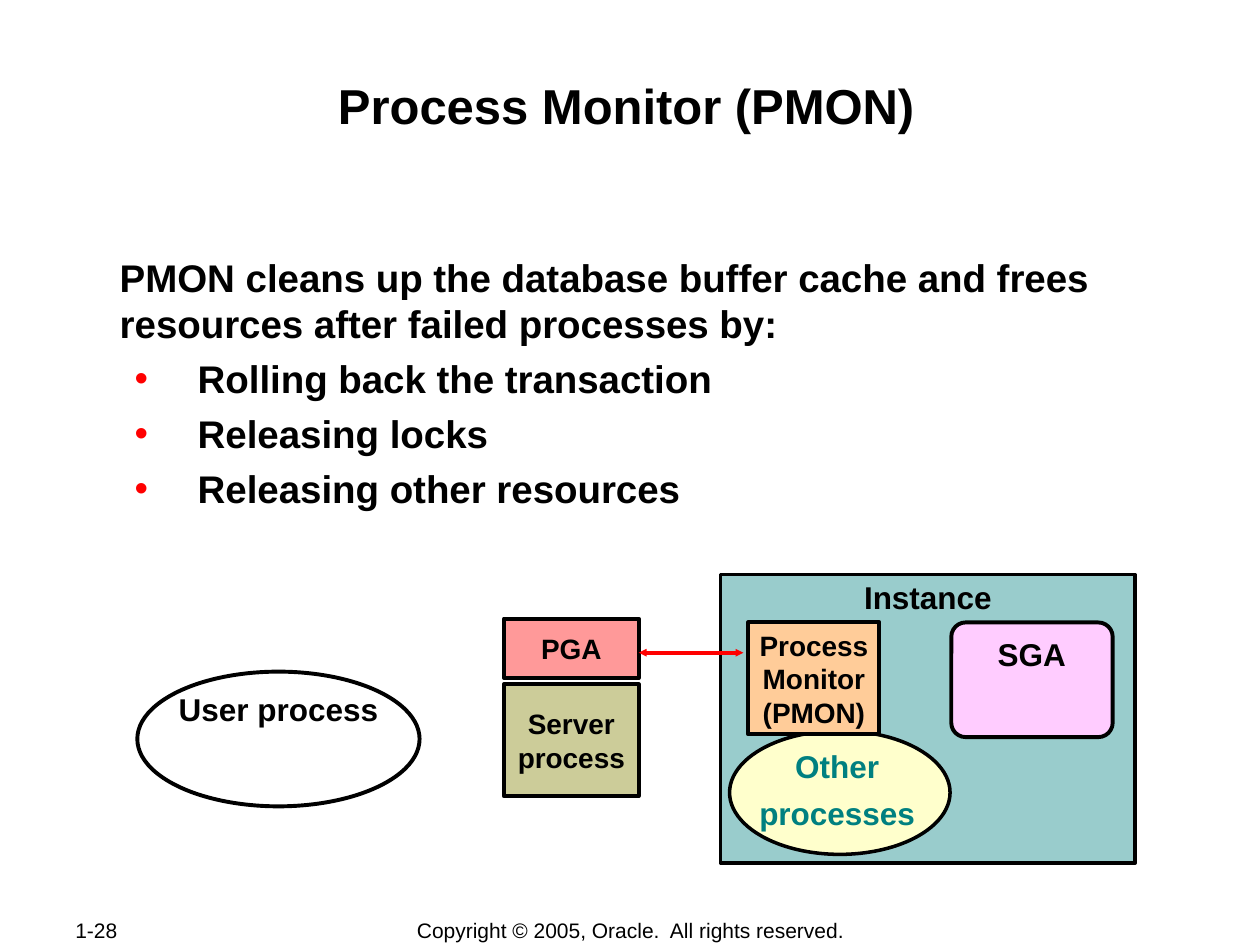
from lxml import etree
from pptx import Presentation
from pptx.dml.color import RGBColor
from pptx.enum.shapes import MSO_CONNECTOR, MSO_SHAPE
from pptx.enum.text import MSO_ANCHOR, PP_ALIGN
from pptx.oxml.ns import qn
from pptx.util import Pt

RECT, OVAL, ROUNDED = MSO_SHAPE.RECTANGLE, MSO_SHAPE.OVAL, MSO_SHAPE.ROUNDED_RECTANGLE
TOP, MIDDLE = MSO_ANCHOR.TOP, MSO_ANCHOR.MIDDLE
LEFT, CENTER = PP_ALIGN.LEFT, PP_ALIGN.CENTER
BLACK, RED, TEAL = "000000", "FF0000", "008080"


def rgb(value):
    return RGBColor.from_string(value)


def place(shape, left, top, width, height):
    shape.left, shape.top = Pt(left), Pt(top)
    shape.width, shape.height = Pt(width), Pt(height)


def write(shape, text, size, color=BLACK, bold=True, align=CENTER, anchor=TOP,
          inset=None, wrap=False, gap=0):
    """Fill a shape with text; gap is the space before each later paragraph."""
    frame = shape.text_frame
    frame.text = text
    frame.word_wrap = wrap
    frame.vertical_anchor = anchor
    if inset is not None:
        frame.margin_left = frame.margin_right = Pt(inset)
        frame.margin_top = frame.margin_bottom = Pt(inset)
    for index, para in enumerate(frame.paragraphs):
        para.alignment = align
        para.space_before = Pt(gap if index else 0)
        for span in para.runs:
            span.font.name = "Arial"
            span.font.size = Pt(size)
            span.font.bold = bold
            span.font.color.rgb = rgb(color)


def add_label(page, bounds, text, size=18, **style):
    box = page.shapes.add_textbox(*map(Pt, bounds))
    write(box, text, size, **style)
    return box


def add_figure(page, kind, bounds, fill=None, line_width=2.25):
    figure = page.shapes.add_shape(kind, *map(Pt, bounds))
    figure.shadow.inherit = False
    if fill:
        figure.fill.solid()
        figure.fill.fore_color.rgb = rgb(fill)
    else:
        figure.fill.background()
    figure.line.color.rgb = rgb(BLACK)
    figure.line.width = Pt(line_width)
    return figure


def add_process(page, bounds, fill, text):
    write(add_figure(page, RECT, bounds, fill), text, 16, anchor=MIDDLE, inset=3.6)


def add_double_arrow(page, start_x, end_x, y):
    arrow = page.shapes.add_connector(MSO_CONNECTOR.STRAIGHT,
                                      Pt(start_x), Pt(y), Pt(end_x), Pt(y))
    arrow.line.color.rgb = rgb(RED)
    arrow.line.width = Pt(2.25)
    line = arrow.line._get_or_add_ln()
    for end in ("a:headEnd", "a:tailEnd"):
        etree.SubElement(line, qn(end), type="triangle", w="sm", len="sm")
    etree.SubElement(arrow._element.spPr, qn("a:effectLst"))


def add_bullet(para):
    properties = para._p.get_or_add_pPr()
    properties.set("marL", str(Pt(44.6)))
    properties.set("indent", str(Pt(-36)))
    color = etree.SubElement(properties, qn("a:buClr"))
    etree.SubElement(color, qn("a:srgbClr"), val=RED)
    etree.SubElement(properties, qn("a:buFont"), typeface="Arial")
    etree.SubElement(properties, qn("a:buChar"), char="•")


def add_body(page):
    box = add_label(
        page, (67.7, 144.5, 580, 150),
        "PMON cleans up the database buffer cache and frees resources "
        "after failed processes by:\n"
        "Rolling back the transaction\nReleasing locks\nReleasing other resources",
        22, align=LEFT, inset=0.7, wrap=True, gap=5)
    for para in box.text_frame.paragraphs[1:]:
        add_bullet(para)


def add_instance(page):
    instance = add_figure(page, RECT, (411.8, 328.3, 236.9, 164.9), "99CCCC", 2)
    write(instance, "Instance", 18, inset=3.6)
    instance.text_frame.paragraphs[0].line_spacing = 0.95
    memory = add_figure(page, ROUNDED, (543.6, 355.7, 92.2, 65.5), "FFCCFF")
    memory.adjustments[0] = 0.125
    add_label(page, (563, 359.3, 53.3, 28.8), "SGA")
    add_figure(page, OVAL, (416.9, 417.6, 126, 70.6), "FFFFCC", 2)
    add_label(page, (426.2, 423.4, 104.4, 54.7), "Other\nprocesses",
              color=TEAL, wrap=True, gap=5)


def main():
    deck = Presentation()
    deck.slide_width, deck.slide_height = Pt(720), Pt(540)
    page = deck.slides.add_slide(deck.slide_layouts[5])

    title = page.shapes.title
    place(title, 69.8, 42.5, 576, 69)
    write(title, "Process Monitor (PMON)", 28, inset=0.7, wrap=True)
    add_body(page)

    add_instance(page)
    add_process(page, (288, 391, 77, 64), "CCCC99", "Server\nprocess")
    add_process(page, (288, 353.5, 77, 34), "FF9999", "PGA")
    add_double_arrow(page, 365, 424.8, 373)
    add_figure(page, OVAL, (78.5, 383.8, 161.3, 77))
    add_label(page, (94.3, 391, 129.6, 28.8), "User process", wrap=True)
    add_process(page, (427.7, 355.7, 74.9, 64), "FFCC99", "Process\nMonitor\n(PMON)")

    add_label(page, (198.7, 524.2, 323.3, 15),
              "Copyright © 2005, Oracle.  All rights reserved.", 12,
              bold=False, anchor=MIDDLE)
    add_label(page, (36, 524.2, 76.3, 15), "1-28", 12,
              bold=False, align=LEFT, anchor=MIDDLE, wrap=True)
    deck.save("out.pptx")


if __name__ == "__main__":
    main()
